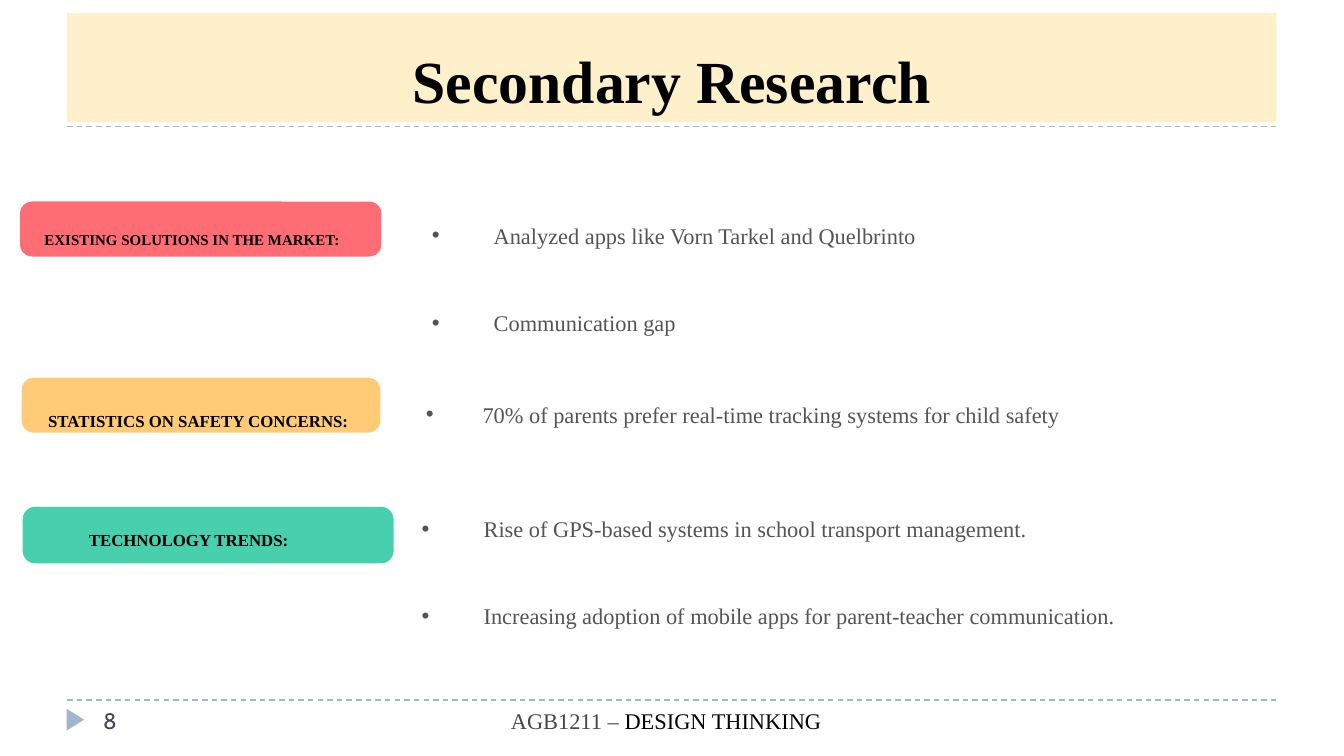
from lxml import etree
from pptx import Presentation
from pptx.dml.color import RGBColor
from pptx.enum import dml, shapes, text
from pptx.oxml import ns
from pptx.util import Cm, Pt

BLACK = RGBColor(0x00, 0x00, 0x00)
SLATE = RGBColor(0x46, 0x46, 0x53)
GREY = RGBColor(0x54, 0x54, 0x54)
CREAM = RGBColor(0xFD, 0xF0, 0xCA)
BLUE = RGBColor(0x9F, 0xB8, 0xCD)
CORAL = RGBColor(0xFE, 0x6D, 0x73)
AMBER = RGBColor(0xFF, 0xCB, 0x77)
GREEN = RGBColor(0x48, 0xCF, 0xAE)
SERIF = "Times New Roman"

# Positions are left, top, width, height in centimetres.
TITLE = ("Secondary Research", (1.27, 0.25, 22.86, 2.06))
FOOTER = ([("AGB1211 – ", SLATE), ("DESIGN THINKING", BLACK)], (6.99, 13.23, 11.2, 1.04))
PAGE = ("8", (1.7, 13.23, 5.51, 0.76))
RULES = (2.39, 13.23)
RULE_ENDS = (1.27, 24.13)
MARKER = (1.22, 13.44, 0.41, 0.33)

TOPICS = [
    {
        "heading": "EXISTING SOLUTIONS IN THE MARKET:", "size": 8, "color": CORAL,
        "plate": (0.38, 3.81, 6.83, 1.04), "label": (0.84, 3.28, 5.79, 1.93),
        "points": ["Analyzed apps like Vorn Tarkel and Quelbrinto", "Communication gap"],
        "list": (6.99, 3.05, 13.44, 3.33), "margin": 2.34, "insets": (0, 0),
    },
    {
        "heading": "STATISTICS ON SAFETY CONCERNS:", "size": 9, "color": AMBER,
        "plate": (0.41, 7.14, 6.78, 1.04), "label": (0.91, 6.73, 6.07, 1.83),
        "points": ["70% of parents prefer real-time tracking systems for child safety"],
        "list": (8.05, 6.43, 16.81, 1.57), "margin": 1.07, "insets": (0, 0),
    },
    {
        "heading": "TECHNOLOGY TRENDS:", "size": 9, "color": GREEN,
        "plate": (0.43, 9.58, 7.01, 1.07), "label": (1.68, 8.99, 5.41, 0.97),
        "points": ["Rise of GPS-based systems in school transport management.",
                   "Increasing adoption of mobile apps for parent-teacher communication."],
        "list": (6.55, 8.46, 16.18, 3.63), "margin": 2.34, "insets": (0.25, 0.13),
    },
]


def place(shape, box):
    for side, value in zip(("left", "top", "width", "height"), box):
        setattr(shape, side, Cm(value))


def set_frame(frame, insets=(0.25, 0.13), anchor=text.MSO_ANCHOR.TOP):
    across, down = map(Cm, insets)
    values = {"word_wrap": True, "auto_size": text.MSO_AUTO_SIZE.NONE,
              "vertical_anchor": anchor, "margin_left": across, "margin_right": across,
              "margin_top": down, "margin_bottom": down}
    for key, value in values.items():
        setattr(frame, key, value)


def write(paragraph, words, size, color, bold=False, font=SERIF, **layout):
    """Add a formatted run; layout holds paragraph properties."""
    for key, value in layout.items():
        setattr(paragraph, key, value)
    run = paragraph.add_run()
    run.text = words
    for key, value in {"name": font, "size": Pt(size), "bold": bold}.items():
        setattr(run.font, key, value)
    run.font.color.rgb = color


def add_text_frame(slide, box, insets=(0.25, 0.13)):
    frame = slide.shapes.add_textbox(*map(Cm, box)).text_frame
    set_frame(frame, insets)
    return frame


def add_filled(slide, kind, box, color):
    shape = slide.shapes.add_shape(kind, *map(Cm, box))
    shape.shadow.inherit = False
    shape.fill.solid()
    shape.fill.fore_color.rgb = color
    shape.line.fill.background()
    return shape


def add_rule(slide, y):
    start, end = map(Cm, RULE_ENDS)
    rule = slide.shapes.add_connector(shapes.MSO_CONNECTOR.STRAIGHT, start, Cm(y), end, Cm(y))
    rule.line.color.rgb = BLUE
    rule.line.width = Pt(0.75)
    rule.line.dash_style = dml.MSO_LINE.DASH
    etree.SubElement(rule._element.spPr, ns.qn("a:effectLst"))


def set_bullet(paragraph, margin):
    props = paragraph._p.get_or_add_pPr()
    props.set("marL", str(Cm(margin)))
    props.set("indent", str(Cm(-1.17)))
    etree.SubElement(props, ns.qn("a:buFont"), typeface="Arial")
    etree.SubElement(props, ns.qn("a:buChar"), char="•")


def fill_list(body, topic):
    place(body, topic["list"])
    frame = body.text_frame
    set_frame(frame, topic["insets"])
    for number, point in enumerate(topic["points"]):
        paragraph = frame.add_paragraph() if number else frame.paragraphs[0]
        write(paragraph, point, 12, GREY, alignment=text.PP_ALIGN.JUSTIFY,
              line_spacing=Pt(46.8), space_before=Pt(0))
        set_bullet(paragraph, topic["margin"])


def add_label(slide, topic):
    plate = add_filled(slide, shapes.MSO_SHAPE.ROUNDED_RECTANGLE, topic["plate"], topic["color"])
    plate.adjustments[0] = 0.22
    frame = add_text_frame(slide, topic["label"], (0, 0))
    write(frame.paragraphs[0], topic["heading"], topic["size"], BLACK, bold=True,
          line_spacing=Pt(40))


def main():
    deck = Presentation()
    deck.slide_width, deck.slide_height = Cm(25.4), Cm(14.29)
    slide = deck.slides.add_slide(deck.slide_layouts.get_by_name("Comparison"))

    heading, box = TITLE
    title, *bodies = slide.placeholders
    place(title, box)
    title.fill.solid()
    title.fill.fore_color.rgb = CREAM
    set_frame(title.text_frame, anchor=text.MSO_ANCHOR.BOTTOM)
    write(title.text_frame.paragraphs[0], heading, 32, BLACK, bold=True,
          alignment=text.PP_ALIGN.CENTER)

    for y in RULES:
        add_rule(slide, y)
    add_filled(slide, shapes.MSO_SHAPE.ISOSCELES_TRIANGLE, MARKER, BLUE).rotation = 90

    for topic, body in zip(TOPICS, bodies):
        add_label(slide, topic)
        fill_list(body, topic)
    for spare in bodies[len(TOPICS):]:
        spare.element.getparent().remove(spare.element)

    parts, box = FOOTER
    footer = add_text_frame(slide, box).paragraphs[0]
    for words, color in parts:
        write(footer, words, 12, color, alignment=text.PP_ALIGN.CENTER)
    number, box = PAGE
    write(add_text_frame(slide, box).paragraphs[0], number, 12, SLATE, font="Cabin")

    deck.save("out.pptx")


if __name__ == "__main__":
    main()
